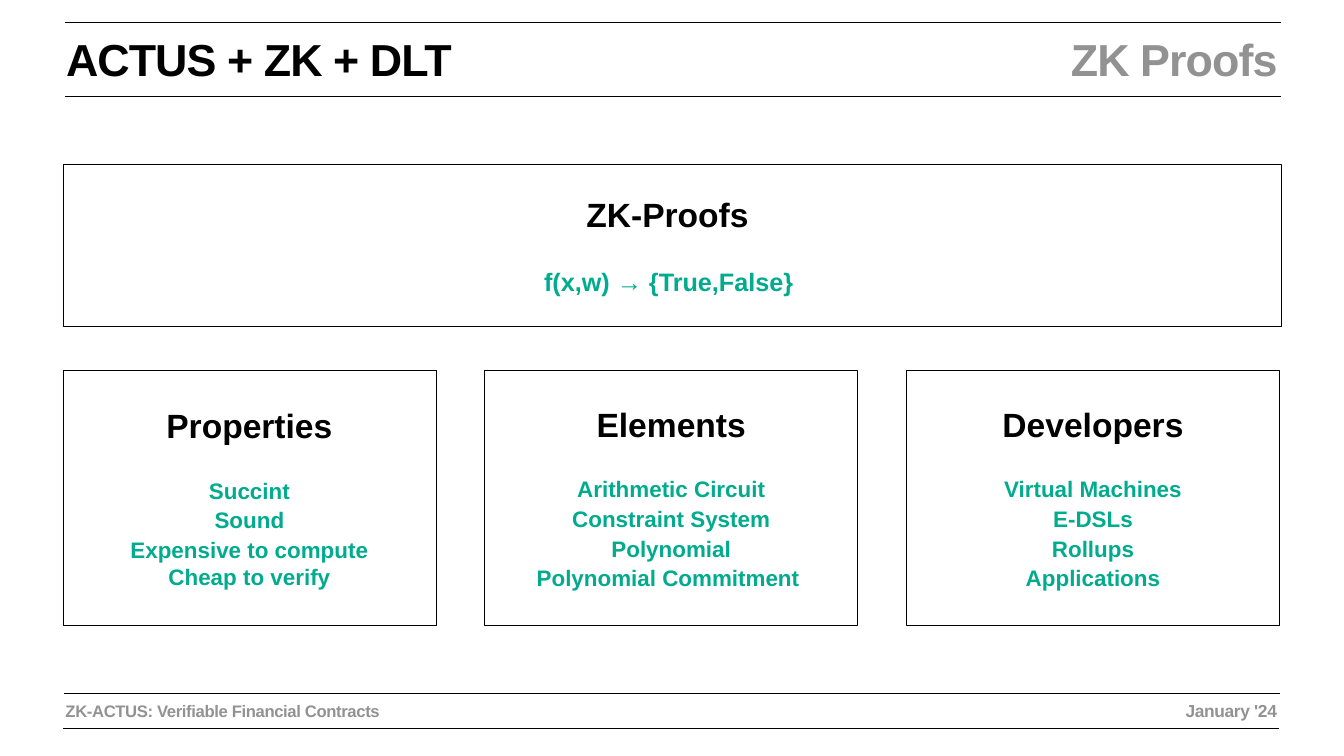
import pptx
import pptx.util
import pptx.dml.color
import pptx.enum.shapes
import pptx.enum.text
import pptx.oxml.ns
import lxml.etree

Inches = pptx.util.Inches
Pt = pptx.util.Pt
ALIGN = pptx.enum.text.PP_ALIGN
ANCHOR = pptx.enum.text.MSO_ANCHOR

BLACK, GREY, GREEN, WHITE = "000000", "929292", "00AB8E", "FFFFFF"
CARD_TOP, CARD_W, CARD_H = 7.34, 7.4, 5.06
CARD_LEFT, CARD_STEP = 1.25, 8.37
ITEM_GAP, LIST_GAP = 4, 45

CARDS = [
    ("Properties", ["Succint", "Sound", "Expensive to compute\vCheap to verify"]),
    ("Elements", ["Arithmetic Circuit", "Constraint System", "Polynomial",
                  "Polynomial Commitment "]),
    ("Developers", ["Virtual Machines", "E-DSLs", "Rollups", "Applications"]),
]


def rgb(color):
    return pptx.dml.color.RGBColor.from_string(color)


def add_run(p, text, size, color, spacing=None):
    for i, part in enumerate(text.split("\v")):
        if i:
            p.add_line_break()
        r = p.add_run()
        r.text = part
        r.font.name = "Arial"
        r.font.size = Pt(size)
        r.font.bold = True
        r.font.color.rgb = rgb(color)
        if spacing is not None:
            r._r.get_or_add_rPr().set("spc", str(round(spacing * 100)))


def set_frame(tf, anchor):
    tf.word_wrap = True
    tf.auto_size = pptx.enum.text.MSO_AUTO_SIZE.NONE
    tf.vertical_anchor = anchor
    tf.margin_left = tf.margin_right = Inches(0.06)
    tf.margin_top = tf.margin_bottom = Inches(0.06)


def set_label(sp, text, size, color, align, spacing):
    set_frame(sp.text_frame, ANCHOR.TOP)
    p = sp.text_frame.paragraphs[0]
    p.alignment = align
    add_run(p, text, size, color, spacing)


def add_title(s, text, x, y, w, h):
    sp = s.shapes.title
    sp.left, sp.top, sp.width, sp.height = map(Inches, (x, y, w, h))
    set_label(sp, text, 64, BLACK, ALIGN.LEFT, -1.3)


def add_label(s, text, x, y, w, h, size, align, spacing):
    sp = s.shapes.add_textbox(*map(Inches, (x, y, w, h)))
    set_label(sp, text, size, GREY, align, spacing)


def add_rule(s, x, y, w=24.13):
    line = s.shapes.add_connector(
        pptx.enum.shapes.MSO_CONNECTOR.STRAIGHT,
        Inches(x), Inches(y), Inches(x + w), Inches(y))
    line.line.color.rgb = rgb(BLACK)
    line.line.width = Pt(1)
    lxml.etree.SubElement(line._element.spPr, pptx.oxml.ns.qn("a:effectLst"))


def add_card(s, x, y, w, h, heading, items, size):
    sp = s.shapes.add_shape(pptx.enum.shapes.MSO_SHAPE.RECTANGLE,
                            *map(Inches, (x, y, w, h)))
    sp.shadow.inherit = False
    sp.fill.solid()
    sp.fill.fore_color.rgb = rgb(WHITE)
    sp.line.color.rgb = rgb(BLACK)
    sp.line.width = Pt(1)
    tf = sp.text_frame
    set_frame(tf, ANCHOR.MIDDLE)
    p = tf.paragraphs[0]
    p.alignment = ALIGN.CENTER
    p.space_before = Pt(ITEM_GAP)
    add_run(p, heading, 48, BLACK)
    for i, item in enumerate(items):
        p = tf.add_paragraph()
        p.alignment = ALIGN.CENTER
        p.space_before = Pt(ITEM_GAP if i else LIST_GAP)
        add_run(p, item, size, GREEN)


def main():
    prs = pptx.Presentation()
    prs.slide_width, prs.slide_height = Inches(26.67), Inches(15)
    s = prs.slides.add_slide(prs.slide_layouts[5])

    for x, y in [(1.29, 0.45), (1.29, 1.92), (1.28, 13.75), (1.26, 14.46)]:
        add_rule(s, x, y)

    add_title(s, "ACTUS + ZK + DLT", 1.25, 0.57, 11.04, 1.22)
    add_label(s, "ZK Proofs", 8.74, 0.57, 16.67, 1.22, 64, ALIGN.RIGHT, -1.3)

    add_card(s, 1.26, 3.27, 24.16, 3.2, "ZK-Proofs ",
             ["f(x,w) → {True,False} "], 36)
    for i, (heading, items) in enumerate(CARDS):
        add_card(s, CARD_LEFT + i * CARD_STEP, CARD_TOP, CARD_W, CARD_H,
                 heading, items, 32)

    add_label(s, "ZK-ACTUS: Verifiable Financial Contracts",
              1.24, 13.84, 11.04, 0.52, 23.8, ALIGN.LEFT, -0.5)
    add_label(s, "January '24", 13.67, 13.84, 11.73, 0.53, 24.8, ALIGN.RIGHT, -0.5)

    prs.save("out.pptx")


if __name__ == "__main__":
    main()
